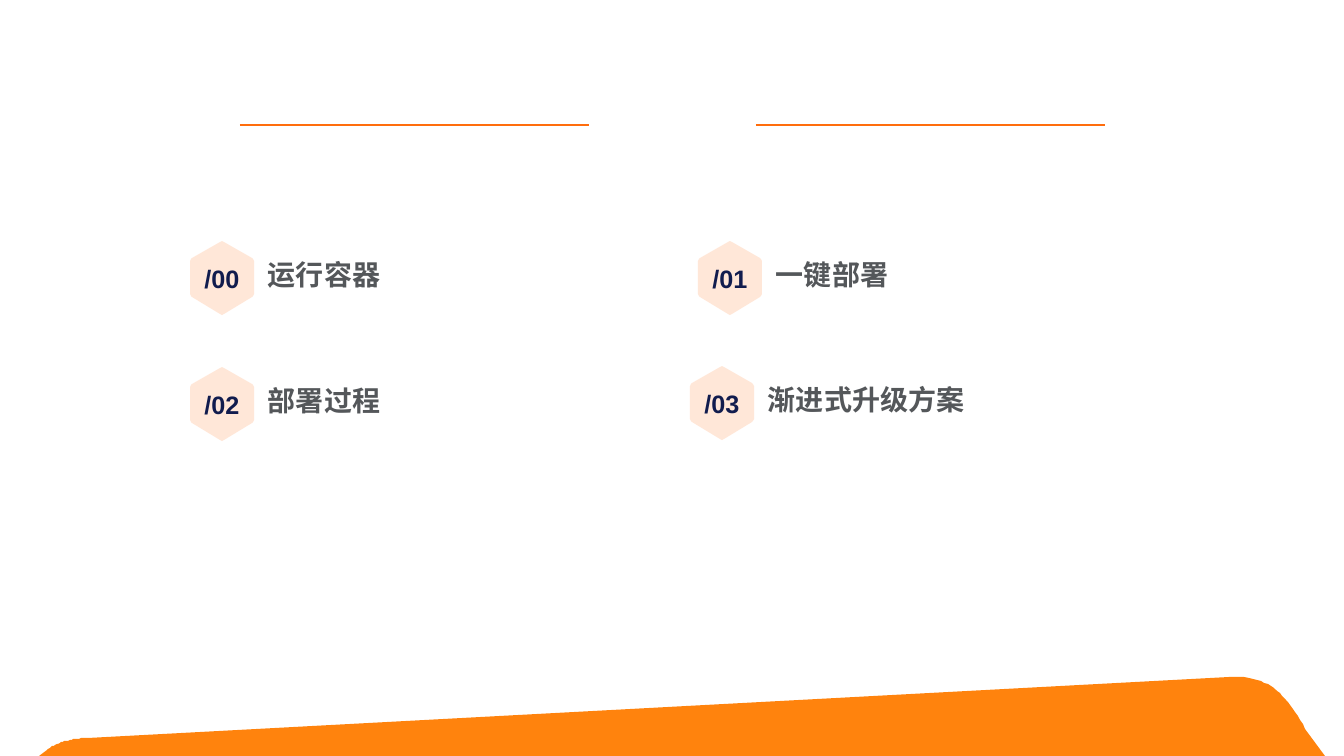
from lxml import etree
from pptx import Presentation, util as u
from pptx.dml.color import RGBColor
from pptx.enum import shapes, text
from pptx.oxml.ns import qn

PX = 914400 / 100.8
COLORS = {"wave": "FF830D", "rule": "FF6D0D", "hexagon": "FFE2CF", "number": "111C4E", "topic": "54575A"}


def curve(a, b, c, d, steps=24):
    return [
        tuple((1 - t) ** 3 * i + 3 * (1 - t) ** 2 * t * j + 3 * (1 - t) * t * t * k + t ** 3 * l
              for i, j, k, l in zip(a, b, c, d))
        for t in (n / steps for n in range(steps + 1))
    ]


def write(sp, words, font, size, color, align, inset):
    tf = sp.text_frame
    tf.word_wrap = True
    tf.vertical_anchor = text.MSO_ANCHOR.MIDDLE
    tf.margin_left = tf.margin_right = round(inset * PX)
    tf.margin_top = tf.margin_bottom = 0
    p = tf.paragraphs[0]
    p.add_run().text = words
    p.alignment = align
    p.font.name = font
    p.font.size = u.Pt(size)
    p.font.bold = True
    p.font.color.rgb = RGBColor.from_string(COLORS[color])
    etree.SubElement(p._p.pPr.find(qn("a:defRPr")), qn("a:ea"), typeface=font)
    return p


prs = Presentation()
prs.slide_width, prs.slide_height = round(1344 * PX), round(756 * PX)
s = prs.slides.add_slide(prs.slide_layouts[6])

wave = curve((1229, 677), (1273, 675), (1286, 697), (1308, 733))
wave += [(1325, 756), (39, 756)]
wave += curve((47, 750), (57, 742), (70, 739), (88, 738))
fb = s.shapes.build_freeform(*wave[0], scale=PX)
fb.add_line_segments(wave[1:], close=True)
sp = fb.convert_to_shape()
sp.shadow.inherit = False
sp.fill.solid()
sp.fill.fore_color.rgb = RGBColor.from_string(COLORS["wave"])
sp.line.fill.background()

for x in (240, 756):
    cx = s.shapes.add_connector(shapes.MSO_CONNECTOR.STRAIGHT, *(round(v * PX) for v in (x, 125, x + 349, 125)))
    cx.line.color.rgb = RGBColor.from_string(COLORS["rule"])
    cx.line.width = u.Pt(2)
    etree.SubElement(cx._element.spPr, qn("a:effectLst"))

left_half = [(32, 0), (30, 1), (2, 17), (1, 18), (0, 20), (0, 53), (1, 55), (2, 56), (30, 73), (32, 74)]
hexagon = left_half + [(64 - x, y) for x, y in left_half[-2:0:-1]]

topics = [
    ("/00", "运行容器", 190, 241),
    ("/01", "一键部署", 698, 241),
    ("/02", "部署过程", 190, 367),
    ("/03", "渐进式升级方案", 690, 366),
]
for number, topic, x, y in topics:
    points = [(x + dx, y + dy) for dx, dy in hexagon]
    fb = s.shapes.build_freeform(*points[0], scale=PX)
    fb.add_line_segments(points[1:], close=True)
    sp = fb.convert_to_shape()
    sp.shadow.inherit = False
    sp.fill.solid()
    sp.fill.fore_color.rgb = RGBColor.from_string(COLORS["hexagon"])
    etree.SubElement(sp._element.spPr.find(".//" + qn("a:srgbClr")), qn("a:alpha"), val="80000")
    sp.line.fill.background()
    write(sp, number, "Arial", 18, "number", text.PP_ALIGN.CENTER, 0)

    tb = s.shapes.add_textbox(*(round(v * PX) for v in (x + 68, y + 10, 397, 51)))
    p = write(tb, topic, "Noto Sans CJK SC", 20, "topic", text.PP_ALIGN.LEFT, 10)
    p.line_spacing = 0.9

prs.save("out.pptx")
